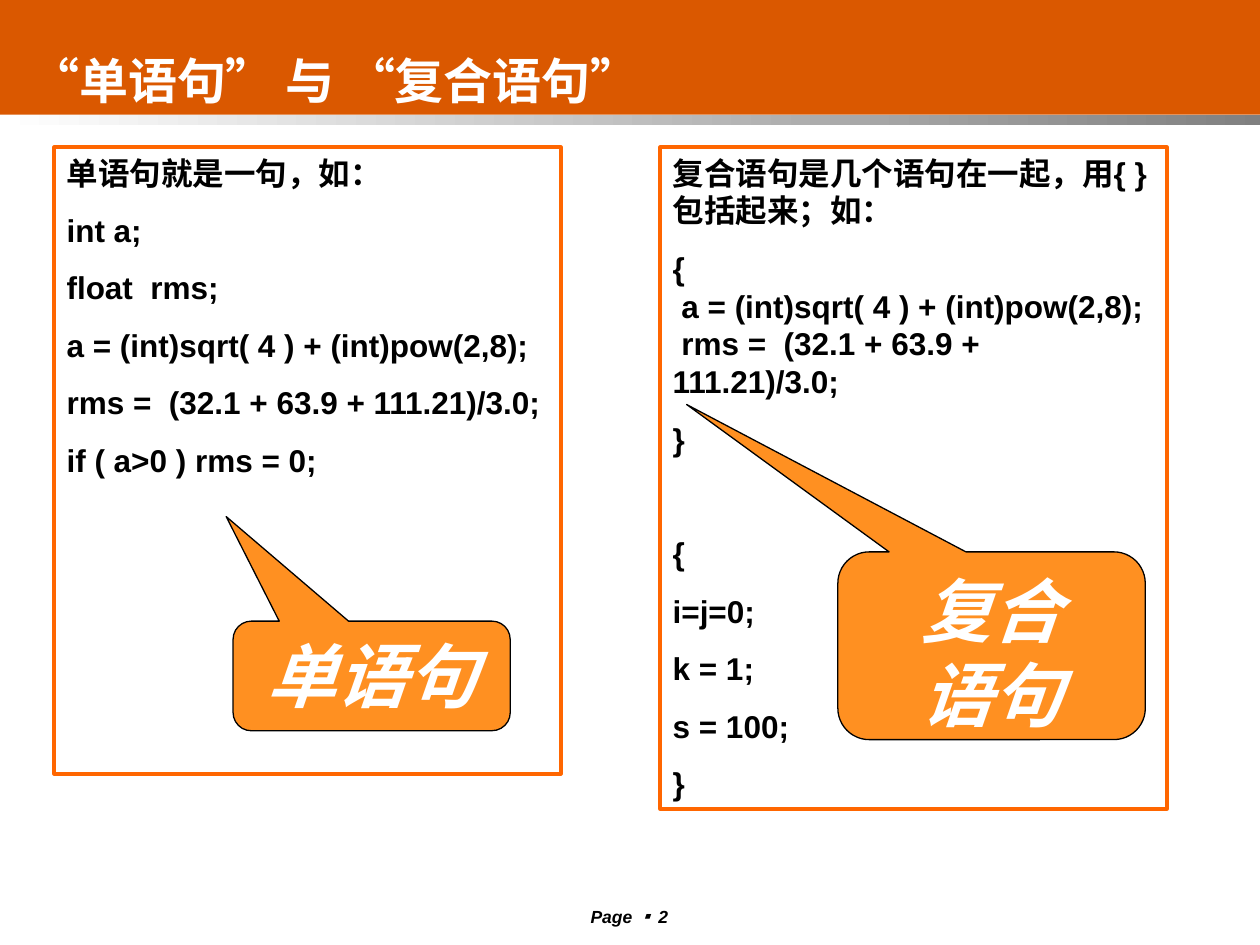
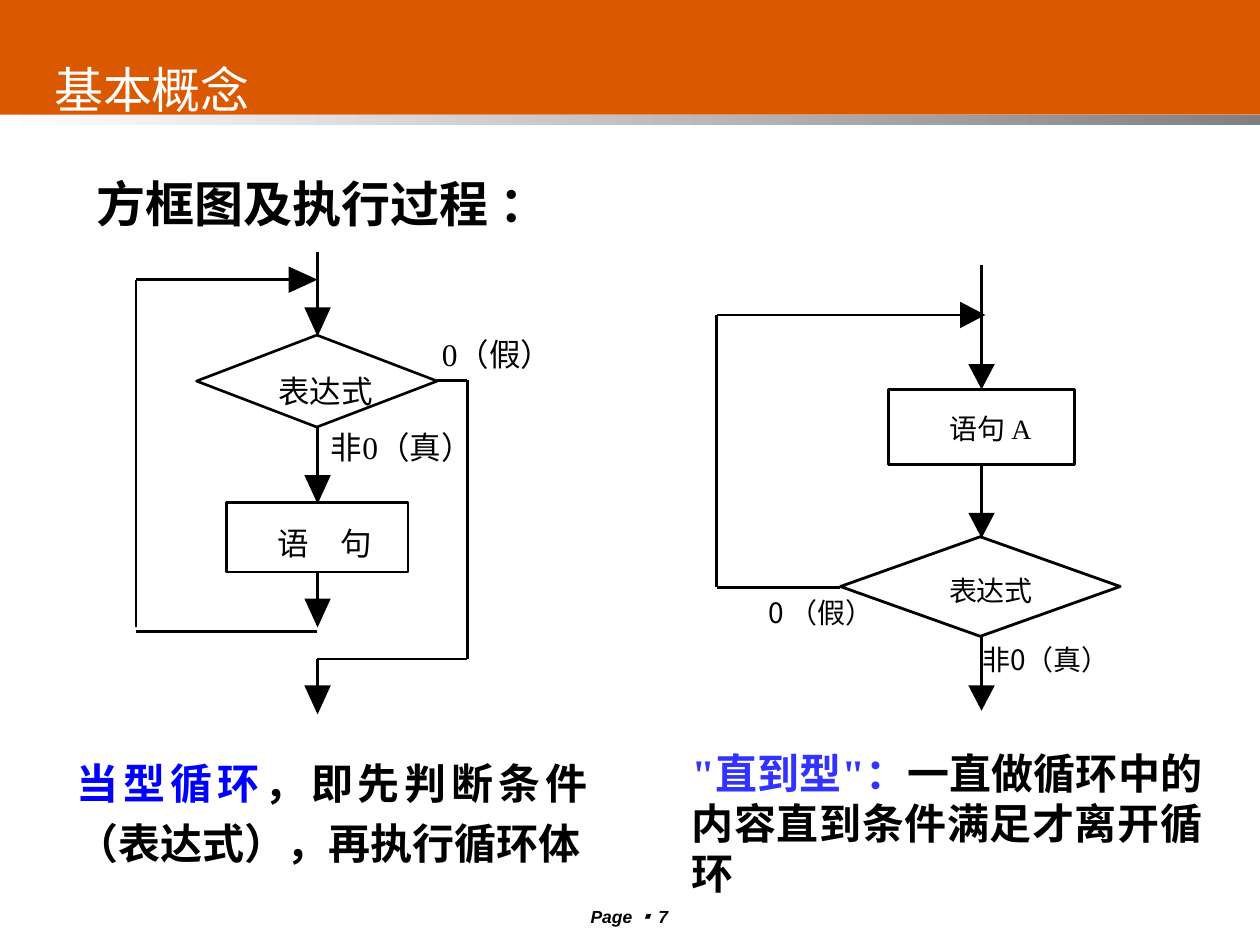
from dataclasses import dataclass

from lxml import etree
from pptx import Presentation
from pptx import util as u
from pptx.dml.color import RGBColor
from pptx.enum import shapes, text
from pptx.oxml import ns


@dataclass(frozen=True)
class Theme:
    band: str = "DA5800"
    shade: str = "808080"
    frame: str = "FF6600"
    callout: str = "FF9021"
    white: str = "FFFFFF"
    black: str = "000000"
    blue: str = "0000FF"
    violet: str = "3333FF"
    sans: str = "Arial"
    mono: str = "Courier New"
    serif: str = "Times New Roman"
    chinese: str = "Noto Sans CJK SC"
    symbol: str = "Noto Sans CJK JP"
    title_size: int = 28
    caption_size: int = 24
    code_size: int = 18
    callout_size: int = 40
    footer_size: int = 10


theme = Theme()
rgb = RGBColor.from_string
align = text.PP_ALIGN
preset = shapes.MSO_SHAPE


def style_run(run, font, size, color, bold=False, italic=False):
    run.font.name = font
    run.font.size = u.Pt(size)
    run.font.color.rgb = rgb(color)
    run.font.bold = bold
    run.font.italic = italic
    east_asian = font if font == theme.symbol else theme.chinese
    etree.SubElement(run.font._element, ns.qn("a:ea"), typeface=east_asian)


def write(shape, content, font, size, color, bold=False, italic=False,
          alignment=align.LEFT, wrap=True, anchor=text.MSO_ANCHOR.TOP):
    frame = shape.text_frame
    frame.text = content
    frame.word_wrap = wrap
    frame.auto_size = text.MSO_AUTO_SIZE.NONE
    frame.vertical_anchor = anchor
    for paragraph in frame.paragraphs:
        paragraph.alignment = alignment
        for run in paragraph.runs:
            style_run(run, font, size, color, bold, italic)
    return frame


presentation = Presentation()
presentation.slide_width = u.Inches(10)
presentation.slide_height = u.Inches(7.5)
layout = presentation.slide_layouts[5]
statement_slide = presentation.slides.add_slide(layout)
loop_slide = presentation.slides.add_slide(layout)

for top, height in [(0, 0.91), (0.91, 0.08)]:
    band = statement_slide.shapes.add_shape(
        preset.RECTANGLE, 0, u.Inches(top), u.Inches(10.04), u.Inches(height))
    band.shadow.inherit = False
    band.line.fill.background()
    if top == 0:
        band.fill.solid()
        band.fill.fore_color.rgb = rgb(theme.band)
    else:
        band.fill.gradient()
        band.fill.gradient_angle = 180
        for stop, color in zip(band.fill.gradient_stops, (theme.shade, theme.white)):
            stop.color.rgb = rgb(color)
    layout.shapes.element.append(band.element)

titles = [
    (statement_slide, "“单语句” 与 “复合语句”", (0.14, 0.21, 8.25, 0.71),
     theme.mono, True, 1.3, text.MSO_ANCHOR.TOP, 2),
    (loop_slide, "基本概念", (0.33, 0.33, 6.9, 0.75),
     theme.symbol, False, 1, text.MSO_ANCHOR.MIDDLE, 7),
]
for slide, content, box, font, bold, spacing, anchor, page in titles:
    title = slide.shapes.title
    title.left, title.top, title.width, title.height = map(u.Inches, box)
    frame = write(title, content, font, theme.title_size, theme.white, bold, anchor=anchor)
    frame.paragraphs[0].line_spacing = spacing
    frame.paragraphs[0].space_before = u.Pt(0)
    footer = slide.shapes.add_textbox(*map(u.Inches, (4.21, 7.14, 1.57, 0.22)))
    frame = write(footer, "Page ", theme.sans, theme.footer_size, theme.black,
                  True, True, align.CENTER)
    for part, font in [("▪ ", theme.symbol), (str(page), theme.sans)]:
        run = frame.paragraphs[0].add_run()
        run.text = part
        style_run(run, font, theme.footer_size, theme.black, True, True)

gap = 11.2
after_blank_line = 44
panels = [
    ((0.43, 1.17, 4.02, 4.97),
     [("单语句就是一句，如：", 0), ("int a;", gap), ("float  rms;", gap),
      ("a = (int)sqrt( 4 ) + (int)pow(2,8);", gap),
      ("rms =  (32.1 + 63.9 + 111.21)/3.0;", gap), ("if ( a>0 ) rms = 0;", gap)],
     "单语句", (1.85, 4.93, 2.2, 0.87), (-0.525, -1.454, 0.167)),
    ((5.24, 1.17, 4.02, 5.25),
     [("复合语句是几个语句在一起，用{ }包括起来；如：", 0), ("{", gap),
      (" a = (int)sqrt( 4 ) + (int)pow(2,8);", 0),
      (" rms =  (32.1 + 63.9 + 111.21)/3.0;", 0), ("}", gap),
      ("{", after_blank_line), ("i=j=0;", gap), ("k = 1;", gap),
      ("s = 100;", gap), ("}", gap)],
     "复合\n语句", (6.65, 4.38, 2.44, 1.49), (-0.992, -1.285, 0.167)),
]
for box, lines, name, callout_box, adjustments in panels:
    panel = statement_slide.shapes.add_shape(preset.RECTANGLE, *map(u.Inches, box))
    panel.shadow.inherit = False
    panel.fill.background()
    panel.line.color.rgb = rgb(theme.frame)
    panel.line.width = u.Pt(2.25)
    frame = write(panel, "\n".join(line for line, before in lines),
                  theme.sans, theme.code_size, theme.black, True)
    for paragraph, (line, before) in zip(frame.paragraphs, lines):
        paragraph.space_before = u.Pt(before)

    callout = statement_slide.shapes.add_shape(
        preset.ROUNDED_RECTANGULAR_CALLOUT, *map(u.Inches, callout_box))
    for index, value in enumerate(adjustments):
        callout.adjustments[index] = value
    callout.shadow.inherit = False
    callout.fill.solid()
    callout.fill.fore_color.rgb = rgb(theme.callout)
    callout.line.color.rgb = rgb(theme.black)
    callout.line.width = u.Pt(0.75)
    write(callout, name, theme.sans, theme.callout_size, theme.white, True, True, align.CENTER)

heading = loop_slide.shapes.add_textbox(*map(u.Inches, (0.67, 1.33, 3.78, 0.57)))
write(heading, "方框图及执行过程 ：", theme.mono, theme.title_size, theme.black,
      True, alignment=align.CENTER, wrap=False)

flowcharts = [
    dict(
        weight=1.5, head=0.23, size=18, font=theme.serif,
        nodes=[(preset.DIAMOND, (1.56, 2.66, 1.91, 0.73)),
               (preset.RECTANGLE, (1.8, 3.99, 1.44, 0.55))],
        lines=[(2.52, 2, 2.52, 2.46), (2.52, 3.39, 2.52, 3.79),
               (2.52, 4.54, 2.52, 4.77), (1.08, 5.01, 2.52, 5.01),
               (1.08, 4.98, 1.08, 2.22), (1.08, 2.22, 2.32, 2.22),
               (3.47, 3.02, 3.71, 3.02), (3.71, 3.02, 3.71, 5.23),
               (2.52, 5.23, 3.71, 5.23), (2.52, 5.23, 2.52, 5.46)],
        down_tips=[(2.52, 2.67), (2.52, 4), (2.52, 4.98), (2.52, 5.67)],
        right_tip=(2.52, 2.22),
        labels=[("非0（真）", (2.61, 3.4, 1.16, 0.3)),
                ("0（假）", (3.52, 2.66, 0.85, 0.3)),
                ("表达式", (2.21, 2.95, 0.75, 0.3)),
                ("语\u3000句".replace("\u3000", "　"), (2.21, 4.16, 0.73, 0.3))],
    ),
    dict(
        weight=1.62, head=0.2, size=16, font=theme.chinese,
        nodes=[(preset.RECTANGLE, (7.05, 3.09, 1.48, 0.6)),
               (preset.DIAMOND, (6.67, 4.26, 2.22, 0.79))],
        lines=[(7.79, 2.1, 7.79, 2.9), (7.79, 3.68, 7.79, 4.08),
               (7.79, 5.05, 7.79, 5.45), (5.69, 4.66, 6.67, 4.66),
               (5.69, 2.5, 5.69, 4.66), (5.69, 2.5, 7.62, 2.5)],
        down_tips=[(7.79, 3.09), (7.79, 4.27), (7.79, 5.64)],
        right_tip=(7.82, 2.5),
        labels=[("0 （假）", (6.09, 4.73, 0.85, 0.27)),
                ("非0（真）", (7.81, 5.1, 0.98, 0.27)),
                ("表达式", (7.53, 4.55, 0.67, 0.27)),
                ("语句 A", (7.52, 3.27, 0.68, 0.27))],
    ),
]
head_width = 0.21
for chart in flowcharts:
    for kind, box in chart["nodes"]:
        node = loop_slide.shapes.add_shape(kind, *map(u.Inches, box))
        node.shadow.inherit = False
        node.fill.background()
        node.line.color.rgb = rgb(theme.black)
        node.line.width = u.Pt(chart["weight"])
    for ends in chart["lines"]:
        line = loop_slide.shapes.add_connector(
            shapes.MSO_CONNECTOR.STRAIGHT, *map(u.Inches, ends))
        line.line.color.rgb = rgb(theme.black)
        line.line.width = u.Pt(chart["weight"])
        etree.SubElement(line.element.spPr, ns.qn("a:effectLst"))
    half = chart["head"] / 2
    heads = [(x, y - half, 180) for x, y in chart["down_tips"]]
    heads.append((chart["right_tip"][0] - half, chart["right_tip"][1], 90))
    for x, y, rotation in heads:
        head = loop_slide.shapes.add_shape(
            preset.ISOSCELES_TRIANGLE, u.Inches(x - head_width / 2),
            u.Inches(y - half), u.Inches(head_width), u.Inches(chart["head"]))
        head.rotation = rotation
        head.shadow.inherit = False
        head.fill.solid()
        head.fill.fore_color.rgb = rgb(theme.black)
        head.line.fill.background()
    for content, box in chart["labels"]:
        label = loop_slide.shapes.add_textbox(*map(u.Inches, box))
        font = theme.serif if content.endswith("A") else chart["font"]
        frame = write(label, content, font, chart["size"], theme.black,
                      alignment=align.CENTER, wrap=False)
        frame.margin_left = frame.margin_right = frame.margin_top = frame.margin_bottom = 0

captions = [
    ((0.51, 5.88, 4.25, 1.06), "当型循环", theme.mono, theme.blue,
     "，即先判断条件（表达式），再执行循环体", 1.2),
    ((5.39, 5.88, 4.25, 1.3), "\"直到型\"：", theme.serif, theme.violet,
     "一直做循环中的内容直到条件满足才离开循环", 1),
]
for box, term, font, color, explanation, spacing in captions:
    caption = loop_slide.shapes.add_textbox(*map(u.Inches, box))
    frame = write(caption, term, font, theme.caption_size, color, True, alignment=align.JUSTIFY)
    paragraph = frame.paragraphs[0]
    paragraph.line_spacing = spacing
    run = paragraph.add_run()
    run.text = explanation
    style_run(run, theme.mono, theme.caption_size, theme.black, True)

presentation.save("out.pptx")
